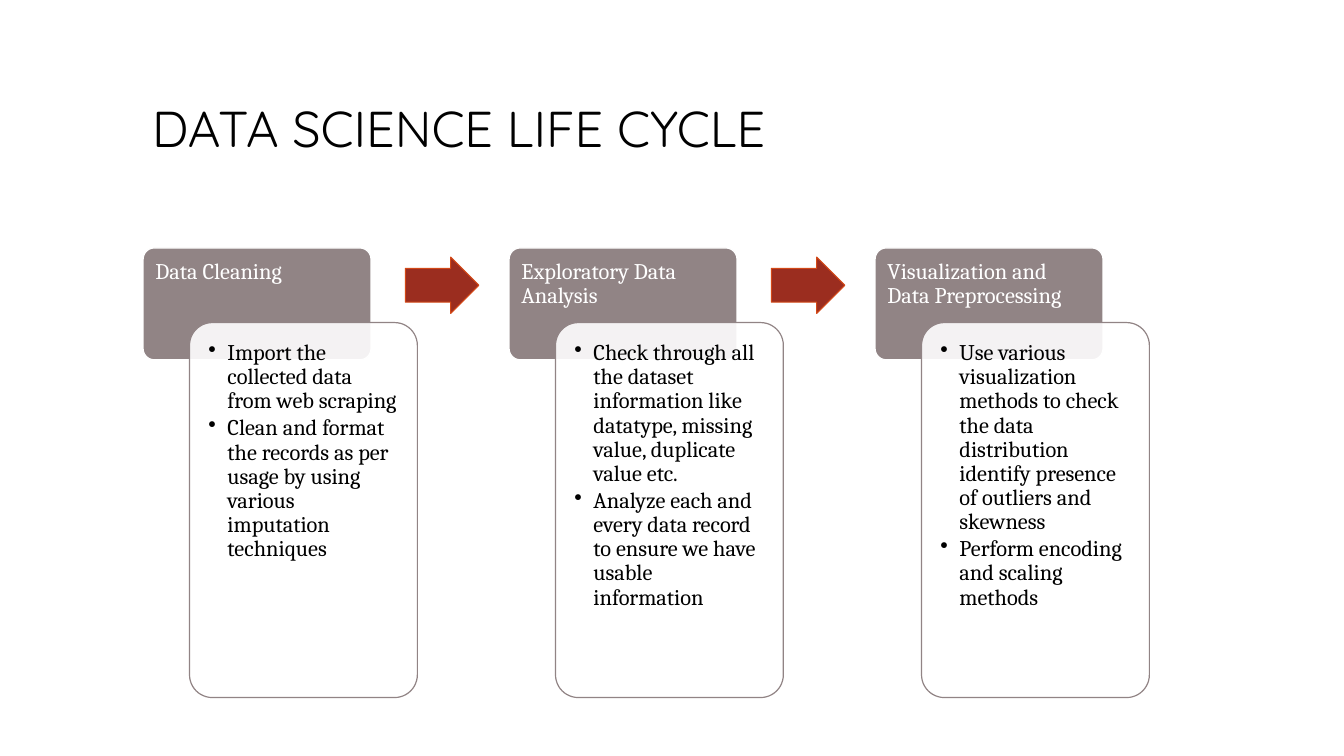
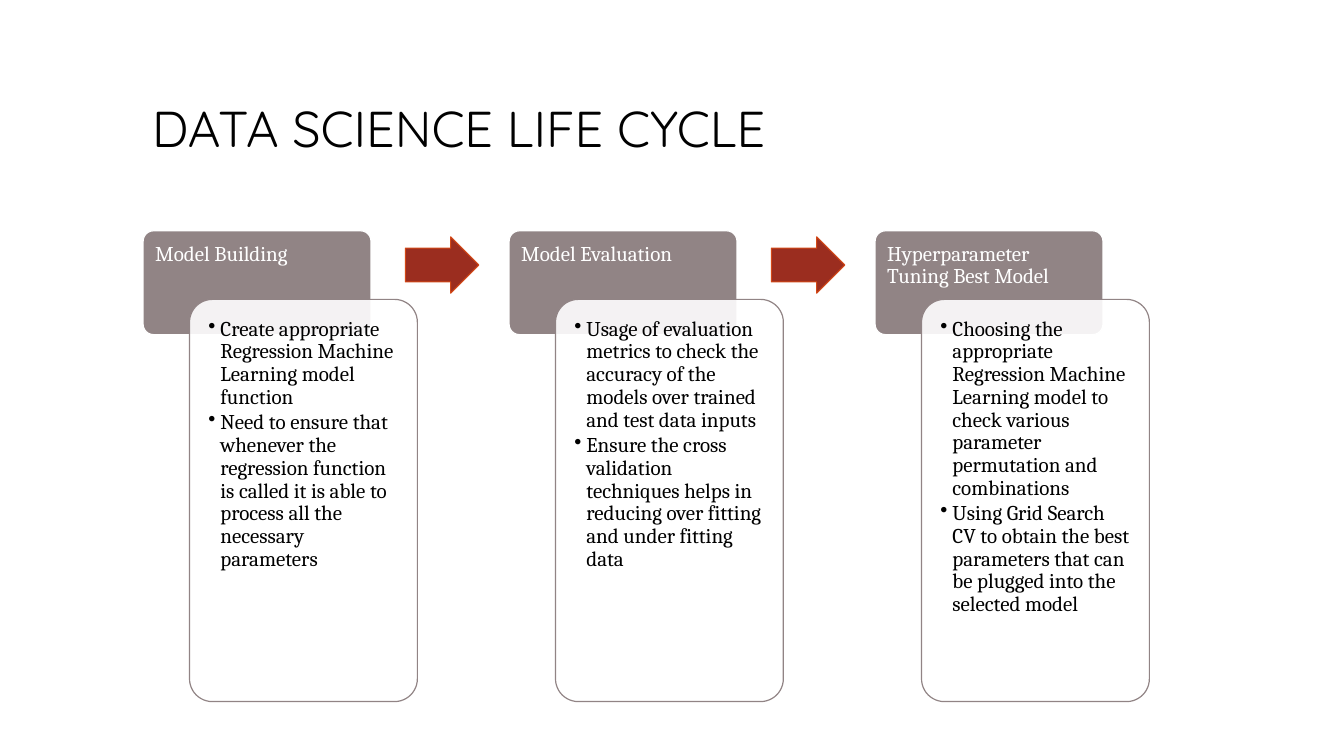
from pptx import Presentation
from pptx.dml.color import RGBColor
from pptx.enum.shapes import MSO_SHAPE as Preset
from pptx.enum.text import MSO_ANCHOR as Anchor, PP_ALIGN as Align
from pptx.oxml.ns import qn
from pptx.util import Pt
from lxml.etree import SubElement

EMU_PER_PX = 9144

TITLE = "DATA SCIENCE LIFE CYCLE"
STAGES_LEFT = 142
STAGE_PITCH = 363
BOX_WIDTH = 226
CARD_OFFSET = 46
ARROW_OFFSET = 260
ARROW_WIDTH, ARROW_HEIGHT = 73, 56

PAGES = [
    {
        "top": 246, "header_height": 111, "card_height": 372, "size": 16, "indent": 19,
        "stages": [
            ("Data Cleaning", [
                "Import the collected data from web scraping",
                "Clean and format the records as per usage by using various imputation techniques",
            ]),
            ("Exploratory Data Analysis", [
                "Check through all the dataset information like datatype, missing value, "
                "duplicate value etc.",
                "Analyze each and every data record to ensure we have usable information",
            ]),
            ("Visualization and Data Preprocessing", [
                "Use various visualization methods to check the data distribution identify "
                "presence of outliers and skewness",
                "Perform encoding and scaling methods",
            ]),
        ],
    },
    {
        "top": 229, "header_height": 103, "card_height": 399, "size": 15, "indent": 12,
        "stages": [
            ("Model Building", [
                "Create appropriate Regression Machine Learning model function",
                "Need to ensure that whenever the regression function is called it is able "
                "to process all the necessary parameters",
            ]),
            ("Model Evaluation", [
                "Usage of evaluation metrics to check the accuracy of the models over "
                "trained and test data inputs",
                "Ensure the cross validation techniques helps in reducing over fitting "
                "and under fitting data",
            ]),
            ("Hyperparameter Tuning Best Model", [
                "Choosing the appropriate Regression Machine Learning model to check "
                "various parameter permutation and combinations",
                "Using Grid Search CV to obtain the best parameters that can be plugged "
                "into the selected model",
            ]),
        ],
    },
]


def px(length):
    return length * EMU_PER_PX


def color(value):
    return RGBColor.from_string(value)


def assign(target, values):
    for name, value in values.items():
        setattr(target, name, value)


class LifeCycleDeck:
    WHITE, BLACK = "FFFFFF", "000000"
    TAUPE, RUST, ORANGE = "918485", "9B2D1F", "D34817"
    HEADING_FONT, BODY_FONT = "Quicksand", "Cambria"

    def __init__(self):
        self.deck = Presentation()
        assign(self.deck, {"slide_width": px(1333), "slide_height": px(750)})
        self.page = None

    def add_page(self):
        self.page = self.deck.slides.add_slide(self.deck.slide_layouts[6])

    def add_lines(self, box, lines, font, size, ink, inset, anchor=Anchor.TOP, space=0, indent=0):
        frame = box.text_frame
        assign(frame, {"word_wrap": True, "vertical_anchor": anchor})
        assign(frame, {f"margin_{side}": px(inset) for side in ("left", "top", "right", "bottom")})
        for index, line in enumerate(lines):
            para = frame.add_paragraph() if index else frame.paragraphs[0]
            assign(para, {"alignment": Align.LEFT, "line_spacing": 0.9, "space_after": Pt(space)})
            if indent:
                self.bullet(para, indent)
            span = para.add_run()
            span.text = line
            assign(span.font, {"name": font, "size": Pt(size)})
            span.font.color.rgb = color(ink)

    def bullet(self, para, indent):
        properties = para._p.get_or_add_pPr()
        properties.set("marL", str(px(indent)))
        properties.set("indent", str(px(-indent)))
        SubElement(properties, qn("a:buChar")).set("char", "•")

    def shape(self, preset, place, fill, line, width, adjustments, opacity=100):
        box = self.page.shapes.add_shape(preset, *map(px, place))
        box.shadow.inherit = False
        box.fill.solid()
        box.fill.fore_color.rgb = color(fill)
        box.line.color.rgb = color(line)
        box.line.width = Pt(width)
        for index, value in enumerate(adjustments):
            box.adjustments[index] = value
        if opacity < 100:
            tint = box._element.spPr.find(f"{qn('a:solidFill')}/{qn('a:srgbClr')}")
            SubElement(tint, qn("a:alpha")).set("val", str(opacity * 1000))
        return box

    def title(self, text):
        box = self.page.shapes.add_textbox(*map(px, (141, 42, 1050, 125)))
        self.add_lines(box, [text], self.HEADING_FONT, 36, self.BLACK, 10, Anchor.BOTTOM)

    def header(self, place, text, size):
        box = self.shape(Preset.ROUNDED_RECTANGLE, place, self.TAUPE, self.WHITE, 0.85, [0.1])
        self.add_lines(box, [text], self.BODY_FONT, size, self.WHITE, 9)

    def card(self, place, points, size, indent):
        box = self.shape(
            Preset.ROUNDED_RECTANGLE, place, self.WHITE, self.TAUPE, 0.85, [0.1], opacity=90)
        self.add_lines(box, points, self.BODY_FONT, size, self.BLACK, 12, space=2, indent=indent)

    def arrow(self, place):
        self.shape(Preset.RIGHT_ARROW, place, self.RUST, self.ORANGE, 0.75, [0.6, 0.5])

    def process(self, top, header_height, card_height, size, indent, stages):
        visible = header_height * 2 // 3
        arrow_top = top + (visible - ARROW_HEIGHT) // 2
        for index, (name, points) in enumerate(stages):
            left = STAGES_LEFT + index * STAGE_PITCH
            self.header((left, top, BOX_WIDTH, header_height), name, size)
            self.card(
                (left + CARD_OFFSET, top + visible, BOX_WIDTH, card_height), points, size, indent)
            if index < len(stages) - 1:
                self.arrow((left + ARROW_OFFSET, arrow_top, ARROW_WIDTH, ARROW_HEIGHT))


def main():
    show = LifeCycleDeck()
    for content in PAGES:
        show.add_page()
        show.title(TITLE)
        show.process(**content)
    show.deck.save("out.pptx")


if __name__ == "__main__":
    main()
